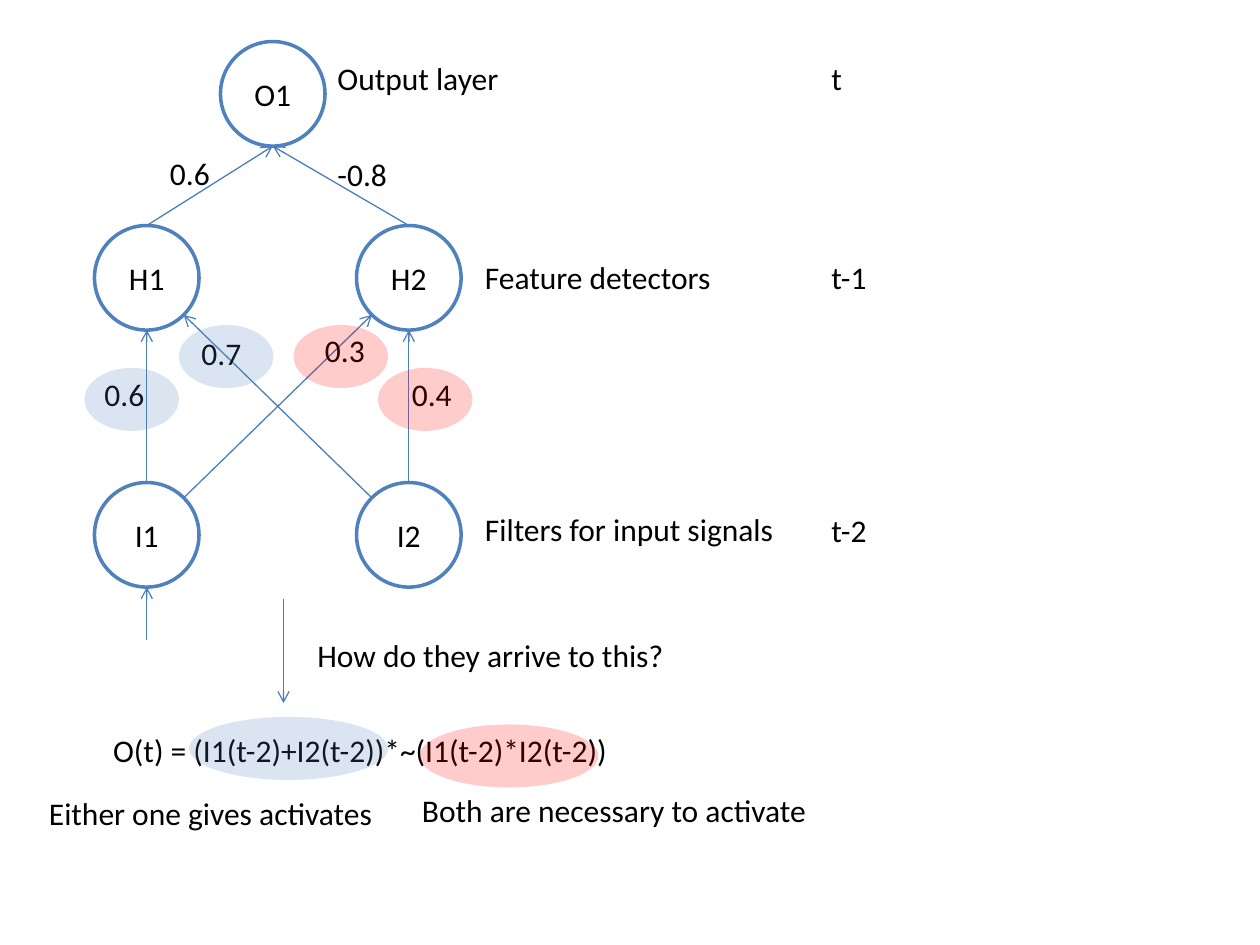
from dataclasses import dataclass
from math import sqrt

from lxml.etree import SubElement
from pptx import Presentation
from pptx.dml.color import RGBColor
from pptx.enum.shapes import MSO_CONNECTOR as CXN, MSO_SHAPE as SHAPE
from pptx.enum.text import MSO_ANCHOR as ANCHOR, MSO_AUTO_SIZE as AUTO, PP_ALIGN as ALIGN
from pptx.oxml.ns import qn
from pptx.util import Inches, Pt


@dataclass(frozen=True)
class Theme:
    font: str = "Calibri"
    size: float = 18
    text: str = "000000"
    paper: str = "FFFFFF"
    outline: str = "4F81BD"
    arrow: str = "4B7EBC"
    either: str = "4F81BD"
    both: str = "FF0000"
    highlight_alpha: int = 20
    node_line: float = 2
    arrow_line: float = 0.75


@dataclass(frozen=True)
class Box:
    x: float
    y: float
    w: float
    h: float

    def place(self, dx, dy, w, h):
        return Box(self.x + dx, self.y + dy, w, h)

    def lengths(self):
        return [Inches(v) for v in (self.x, self.y, self.w, self.h)]

    def rim(self, across, down):
        return (self.x + self.w / 2 * (1 + across), self.y + self.h / 2 * (1 + down))


THEME = Theme()
NODE = 0.83
LABEL_H = 0.4
TOP, BOTTOM = (0, -1), (0, 1)
DIAG = 1 / sqrt(2)


def rgb(value):
    return RGBColor.from_string(value)


def write(tf, text, align=ALIGN.LEFT, anchor=ANCHOR.TOP, wrap=False, color=THEME.text):
    tf.word_wrap = wrap
    tf.vertical_anchor = anchor
    p = tf.paragraphs[0]
    p.alignment = align
    r = p.add_run()
    r.text = text
    r.font.name = THEME.font
    r.font.size = Pt(THEME.size)
    r.font.color.rgb = rgb(color)


def add_label(shapes, text, box):
    tf = shapes.add_textbox(*box.lengths()).text_frame
    write(tf, text)
    tf.auto_size = AUTO.SHAPE_TO_FIT_TEXT


def add_ellipse(shapes, box, color):
    sp = shapes.add_shape(SHAPE.OVAL, *box.lengths())
    sp.shadow.inherit = False
    sp.fill.solid()
    sp.fill.fore_color.rgb = rgb(color)
    return sp


def add_node(shapes, name, box):
    sp = add_ellipse(shapes, box, THEME.paper)
    sp.line.color.rgb = rgb(THEME.outline)
    sp.line.width = Pt(THEME.node_line)
    write(sp.text_frame, name, align=ALIGN.CENTER, anchor=ANCHOR.MIDDLE, wrap=True)


def add_highlight(shapes, box, color):
    sp = add_ellipse(shapes, box, color)
    sp.line.fill.background()
    clr = sp.fill._xPr.find(qn("a:solidFill")).find(qn("a:srgbClr"))
    SubElement(clr, qn("a:alpha"), val=str(THEME.highlight_alpha * 1000))


def add_arrow(shapes, start, end):
    cxn = shapes.add_connector(CXN.STRAIGHT, *[Inches(v) for v in (*start, *end)])
    cxn.line.color.rgb = rgb(THEME.arrow)
    cxn.line.width = Pt(THEME.arrow_line)
    SubElement(cxn.line._get_or_add_ln(), qn("a:tailEnd"), type="arrow")
    SubElement(cxn._element.spPr, qn("a:effectLst"))


def build_network(shapes, box):
    right = box.w - NODE
    hidden_y, input_y = 1.46, box.h - NODE
    nodes = {
        name: box.place(dx, dy, NODE, NODE)
        for name, dx, dy in (
            ("O1", 1, 0),
            ("H2", right, hidden_y),
            ("H1", 0, hidden_y),
            ("I2", right, input_y),
            ("I1", 0, input_y),
        )
    }
    for name, spot in nodes.items():
        add_node(shapes, name, spot)

    for source, leave, target, arrive in (
        ("I1", (DIAG, -DIAG), "H2", (-DIAG, DIAG)),
        ("I2", (-DIAG, -DIAG), "H1", (DIAG, DIAG)),
        ("I1", TOP, "H1", BOTTOM),
        ("I2", TOP, "H2", BOTTOM),
        ("H2", TOP, "O1", BOTTOM),
        ("H1", TOP, "O1", BOTTOM),
    ):
        add_arrow(shapes, nodes[source].rim(*leave), nodes[target].rim(*arrive))
    x, y = nodes["I1"].rim(*BOTTOM)
    add_arrow(shapes, (x, y + 0.42), (x, y))

    for text, dx, dy, w in (
        ("0.6", 0.5, 0.84, 0.52),
        ("-0.8", 1.83, 0.85, 0.6),
        ("0.4", 2.42, 2.6, 0.52),
        ("0.6", -0.02, 2.6, 0.52),
        ("0.3", 1.73, 2.25, 0.52),
        ("0.7", 0.75, 2.27, 0.52),
        ("Output layer", 1.83, 0.09, 1.49),
        ("Feature detectors", 3, 1.67, 2.01),
        ("Filters for input signals", 3, 3.67, 2.52),
    ):
        add_label(shapes, text, box.place(dx, dy, w, LABEL_H))


def build_formula(shapes, box):
    x = box.x + 1.45
    add_arrow(shapes, (x, box.y), (x, box.y + 0.83))
    add_label(shapes, "How do they arrive to this?", box.place(1.62, 0.25, 2.98, LABEL_H))
    add_label(shapes, "O(t) = (I1(t-2)+I2(t-2))*~(I1(t-2)*I2(t-2))",
              box.place(0, box.h - LABEL_H, box.w, LABEL_H))


def build_timeline(shapes, box):
    for text, dy, w in (("t-2", box.h - LABEL_H, 0.49), ("t-1", 1.58, 0.49), ("t", 0, 0.29)):
        add_label(shapes, text, box.place(0, dy, w, LABEL_H))


def build_explanation(shapes, box, color, caption, ovals):
    for oval in ovals:
        add_highlight(shapes, box.place(*oval), color)
    add_label(shapes, caption, box.place(0, box.h - LABEL_H, box.w, LABEL_H))


def main():
    prs = Presentation()
    prs.slide_width, prs.slide_height = Inches(10), Inches(7.5)
    shapes = prs.slides.add_slide(prs.slide_layouts[6]).shapes

    build_network(shapes, Box(0.75, 0.33, 2.91, 4.33))
    build_formula(shapes, Box(0.8, 4.75, 4.2, 1.4))
    build_timeline(shapes.add_group_shape().shapes, Box(6.5, 0.42, 0.49, 3.99))
    build_explanation(
        shapes.add_group_shape().shapes, Box(0.29, 2.58, 2.8, 4.07),
        THEME.either, "Either one gives activates",
        ((0.38, 0.34, 0.75, 0.5), (1.13, 0, 0.75, 0.5), (1.21, 3.11, 1.58, 0.5)),
    )
    build_explanation(
        shapes.add_group_shape().shapes, Box(3.25, 2.58, 3.29, 4.05),
        THEME.both, "Both are necessary to activate",
        ((-0.25, 0.34, 0.75, 0.5), (-0.92, 0, 0.75, 0.5), (0.08, 3.17, 1.42, 0.5)),
    )
    prs.save("out.pptx")


if __name__ == "__main__":
    main()
